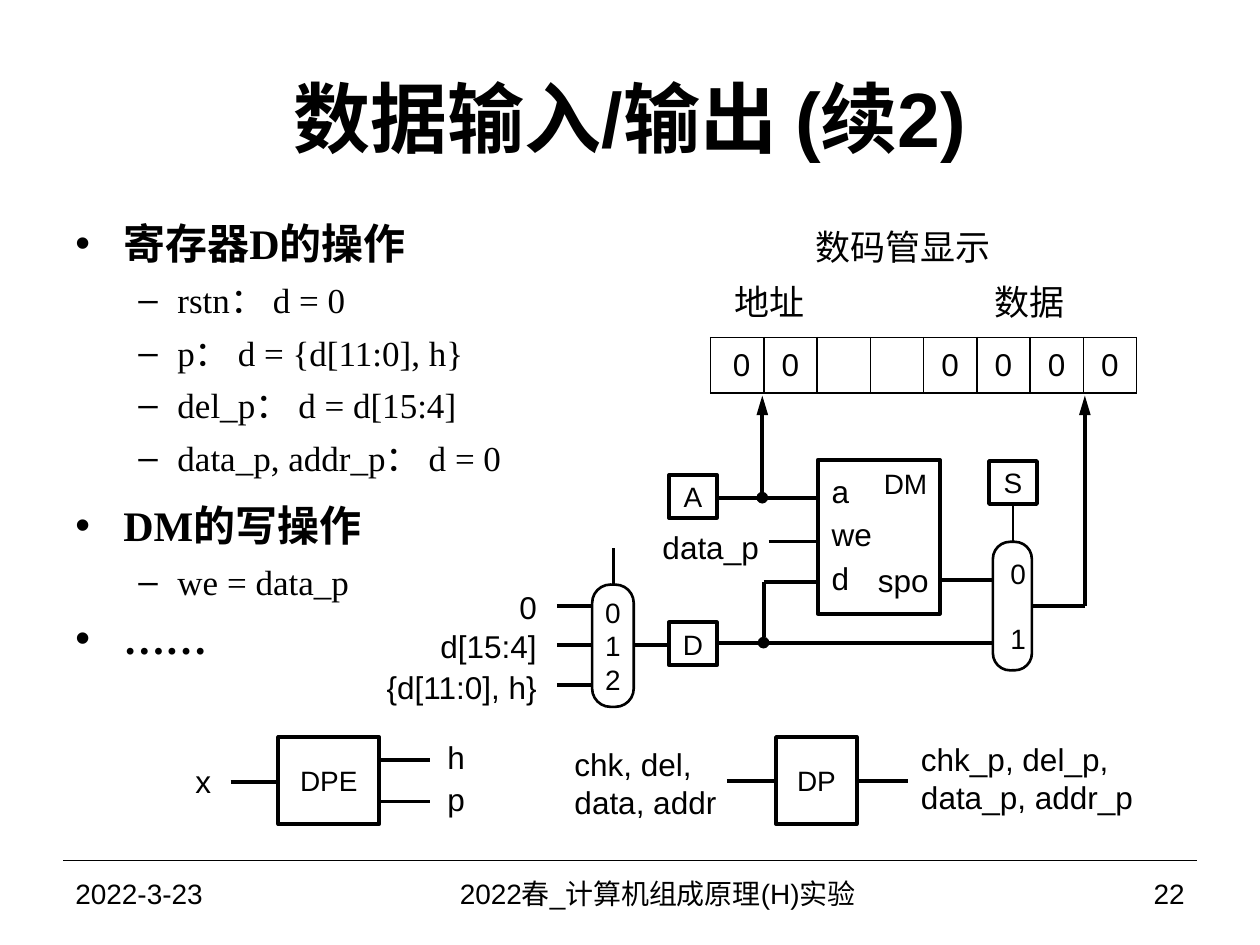
import pptx
import pptx.util
import pptx.dml.color
import pptx.enum.shapes
import pptx.enum.text
import pptx.oxml.ns
import lxml.etree

Inches, Pt = pptx.util.Inches, pptx.util.Pt
PRESET = pptx.enum.shapes.MSO_SHAPE
ALIGN = pptx.enum.text.PP_ALIGN
ANCHOR = pptx.enum.text.MSO_ANCHOR
qn = pptx.oxml.ns.qn
BLACK = pptx.dml.color.RGBColor(0, 0, 0)
WHITE = pptx.dml.color.RGBColor(255, 255, 255)
SANS, SERIF = "Arial", "Times New Roman"
THICK, THIN = 2.25, 1.5


def style(paragraph, size, font=SANS, bold=False, align=ALIGN.LEFT):
    paragraph.alignment = align
    for run in paragraph.runs:
        run.font.name, run.font.size, run.font.bold = font, Pt(size), bold
        run.font.color.rgb = BLACK


def write(frame, text, size, align, font=SANS, pad=False, anchor=ANCHOR.MIDDLE, wrap=False):
    frame.text = text
    frame.word_wrap = wrap
    frame.vertical_anchor = anchor
    if not pad:
        frame.margin_left = frame.margin_right = frame.margin_top = frame.margin_bottom = 0
    for paragraph in frame.paragraphs:
        style(paragraph, size, font, align=align)


def label(slide, text, x, y, w, h, size=18, align=ALIGN.LEFT, **options):
    box = slide.shapes.add_textbox(Inches(x), Inches(y), Inches(w), Inches(h))
    write(box.text_frame, text, size, align, **options)
    return box.text_frame


def block(slide, text, x, y, w, h, preset=PRESET.RECTANGLE, weight=THICK, filled=False):
    shape = slide.shapes.add_shape(preset, Inches(x), Inches(y), Inches(w), Inches(h))
    shape.shadow.inherit = False
    if filled:
        shape.fill.solid()
        shape.fill.fore_color.rgb = WHITE
    else:
        shape.fill.background()
    shape.line.color.rgb = BLACK
    shape.line.width = Pt(weight)
    write(shape.text_frame, text, 16, ALIGN.CENTER)
    return shape


def selector(slide, text, x, y, w, h):
    shape = block(slide, text, x, y, w, h, PRESET.ROUNDED_RECTANGLE, THIN, True)
    shape.adjustments[0] = 0.44
    return shape.text_frame


def wire(slide, x1, y1, x2, y2, weight=THICK, head=None, tail=None):
    line = slide.shapes.add_connector(pptx.enum.shapes.MSO_CONNECTOR.STRAIGHT,
                                      Inches(x1), Inches(y1), Inches(x2), Inches(y2))
    line.line.color.rgb = BLACK
    line.line.width = Pt(weight)
    properties = line._element.spPr
    for tag, kind in (("a:headEnd", head), ("a:tailEnd", tail)):
        if kind:
            length = "lg" if kind == "triangle" else "med"
            lxml.etree.SubElement(properties.find(qn("a:ln")), qn(tag), type=kind, w="med", len=length)
    lxml.etree.SubElement(properties, qn("a:effectLst"))


def add_title(slide, x, y, w, h):
    title = slide.shapes.title
    title.left, title.top, title.width, title.height = (Inches(v) for v in (x, y, w, h))
    frame = title.text_frame
    frame.text = "数据输入/输出 (续2)"
    frame.auto_size = pptx.enum.text.MSO_AUTO_SIZE.NONE
    frame.vertical_anchor = ANCHOR.MIDDLE
    style(frame.paragraphs[0], 44, bold=True, align=ALIGN.CENTER)


def add_operations(slide, x, y, w, h):
    # Outline level, text, space before
    items = [(0, "寄存器D的操作", 6), (1, "rstn： d = 0", 6), (1, "p： d = {d[11:0], h}", 6),
             (1, "del_p： d = d[15:4]", 6), (1, "data_p, addr_p： d = 0", 6),
             (0, "DM的写操作", 12), (1, "we = data_p", 6), (0, "……", 6)]
    frame = label(slide, "\n".join(text for _, text, _ in items), x, y, w, h,
                  pad=True, anchor=ANCHOR.TOP, wrap=True)
    for paragraph, (level, _, before) in zip(frame.paragraphs, items):
        style(paragraph, (24, 20)[level], SERIF, level == 0)
        paragraph.level = level
        paragraph.space_before = Pt(before)
        properties = paragraph._p.get_or_add_pPr()
        properties.set("marL", str(Inches((0.38, 0.81)[level])))
        properties.set("indent", str(-Inches((0.38, 0.31)[level])))
        lxml.etree.SubElement(properties, qn("a:buFont"), typeface=SANS)
        lxml.etree.SubElement(properties, qn("a:buChar"), char="•–"[level])


def border(cell):
    properties = cell._tc.get_or_add_tcPr()
    for position, side in enumerate(("a:lnL", "a:lnR", "a:lnT", "a:lnB")):
        line = lxml.etree.Element(qn(side), w=str(Pt(1)))
        fill = lxml.etree.SubElement(line, qn("a:solidFill"))
        lxml.etree.SubElement(fill, qn("a:srgbClr"), val=str(BLACK))
        properties.insert(position, line)


def add_display(slide, x, y):
    for text, dx, dy, w in (("数码管显示", 0.55, 0, 1.98), ("地址", 0, 0.44, 0.95), ("数据", 2.09, 0.44, 0.9)):
        label(slide, text, x + dx, y + dy, w, 0.44, 20, ALIGN.CENTER, font=SERIF,
              pad=True, anchor=ANCHOR.TOP, wrap=True)
    digits = [" 0", "0", "", "", "0", "0", "0", "0"]
    table = slide.shapes.add_table(1, len(digits), Inches(x + 0.01), Inches(y + 0.94),
                                   Inches(3.38), Inches(0.44)).table
    table.first_row = table.horz_banding = False
    for cell, digit in zip(table.rows[0].cells, digits):
        cell.fill.solid()
        cell.fill.fore_color.rgb = WHITE
        cell.margin_left = cell.margin_right = cell.margin_top = cell.margin_bottom = 0
        cell.vertical_anchor = ANCHOR.MIDDLE
        cell.text = digit
        style(cell.text_frame.paragraphs[0], 18, align=ALIGN.CENTER)
        border(cell)


def add_datapath(slide, x, y):
    # Memory with its ports
    block(slide, "", x + 1.18, y, 0.97, 1.22)
    label(slide, "DM", x + 1.55, y + 0.05, 0.5, 0.27, 16, ALIGN.RIGHT)
    for port, dy in (("a", 0.1), ("we", 0.44), ("d", 0.79)):
        label(slide, port, x + 1.29, y + dy, 0.32, 0.3)
    label(slide, "spo", x + 1.55, y + 0.8, 0.51, 0.3, align=ALIGN.RIGHT)
    label(slide, "data_p", x - 0.15, y + 0.49, 0.97, 0.4, pad=True)
    # Registers and output selector
    for name, dx, dy in (("A", 0, 0.12), ("D", 0, 1.29), ("S", 2.54, 0.01)):
        block(slide, name, x + dx, y + dy, 0.38, 0.34)
    choices = selector(slide, "0\n1", x + 2.57, y + 0.65, 0.31, 1.02)
    choices.margin_left = Inches(0.09)
    for choice, before in zip(choices.paragraphs, (6, 12)):
        choice.space_before, choice.space_after = Pt(before), Pt(6)
    # Wires
    for x1, y1, x2, y2, weight, head, tail in (
            (0.38, 0.3, 1.18, 0.3, THICK, None, None),
            (0.79, 0.65, 1.18, 0.65, THIN, None, None),
            (0.75, 0.97, 1.18, 0.97, THICK, None, None),
            (2.15, 0.95, 2.57, 0.95, THICK, None, None),
            (0.38, 1.45, 2.57, 1.45, THICK, None, None),
            (2.88, 1.16, 3.3, 1.16, THICK, None, None),
            (2.73, 0.65, 2.73, 0.34, THIN, None, None),
            (0.74, 0.3, 0.74, -0.51, THICK, "oval", "triangle"),
            (0.75, 1.45, 0.75, 0.97, THICK, "oval", None),
            (3.3, 1.16, 3.3, -0.51, THICK, None, "triangle")):
        wire(slide, x + x1, y + y1, x + x2, y + y2, weight, head, tail)


def add_input_selector(slide, x, y):
    selector(slide, "0\n1\n2", x + 1.76, y + 0.29, 0.33, 0.97)
    wire(slide, x + 1.93, y + 0.29, x + 1.93, y, THIN)
    wire(slide, x + 2.09, y + 0.77, x + 2.36, y + 0.77)
    for text, dy in (("0", 0.46), ("d[15:4]", 0.77), ("{d[11:0], h}", 1.09)):
        label(slide, text, x, y + dy - 0.16, 1.32, 0.34, align=ALIGN.RIGHT)
        wire(slide, x + 1.48, y + dy, x + 1.76, y + dy)


def add_edge_unit(slide, x, y):
    block(slide, "DPE", x + 0.66, y, 0.8, 0.69)
    label(slide, "x", x, y + 0.2, 0.14, 0.3)
    wire(slide, x + 0.28, y + 0.36, x + 0.66, y + 0.36)
    for output, dy, weight in (("h", 0.18, THICK), ("p", 0.51, THIN)):
        wire(slide, x + 1.46, y + dy, x + 1.86, y + dy, weight)
        label(slide, output, x + 2, y + dy - 0.17, 0.14, 0.3)


def add_button_unit(slide, x, y):
    block(slide, "DP", x + 1.6, y, 0.64, 0.69)
    label(slide, "chk, del, data, addr", x, y + 0.06, 1.2, 0.61, wrap=True)
    label(slide, "chk_p, del_p, data_p, addr_p", x + 2.75, y + 0.02, 1.94, 0.61, wrap=True)
    for start in (1.21, 2.26):
        wire(slide, x + start, y + 0.35, x + start + 0.39, y + 0.35)


def add_footer(slide, x, y):
    wire(slide, x, y, x + 9, y, 0.75)
    for text, dx, w, align in (("2022-3-23", 0, 2.33, ALIGN.LEFT),
                               ("2022春_计算机组成原理(H)实验 ", 2.33, 4.83, ALIGN.CENTER),
                               ("22", 7.25, 1.75, ALIGN.RIGHT)):
        label(slide, text, x + dx, y, w, 0.52, 16, align, pad=True, wrap=True)


deck = pptx.Presentation()
deck.slide_width, deck.slide_height = Inches(10), Inches(7.5)
page = deck.slides.add_slide(deck.slide_layouts[5])
add_title(page, 0.5, 0.3, 9, 1.25)
add_operations(page, 0.5, 1.68, 4.11, 3.77)
add_display(page, 5.63, 1.74)
add_datapath(page, 5.31, 3.65)
add_input_selector(page, 2.94, 4.35)
add_edge_unit(page, 1.55, 5.85)
add_button_unit(page, 4.56, 5.85)
add_footer(page, 0.5, 6.83)
deck.save("out.pptx")
